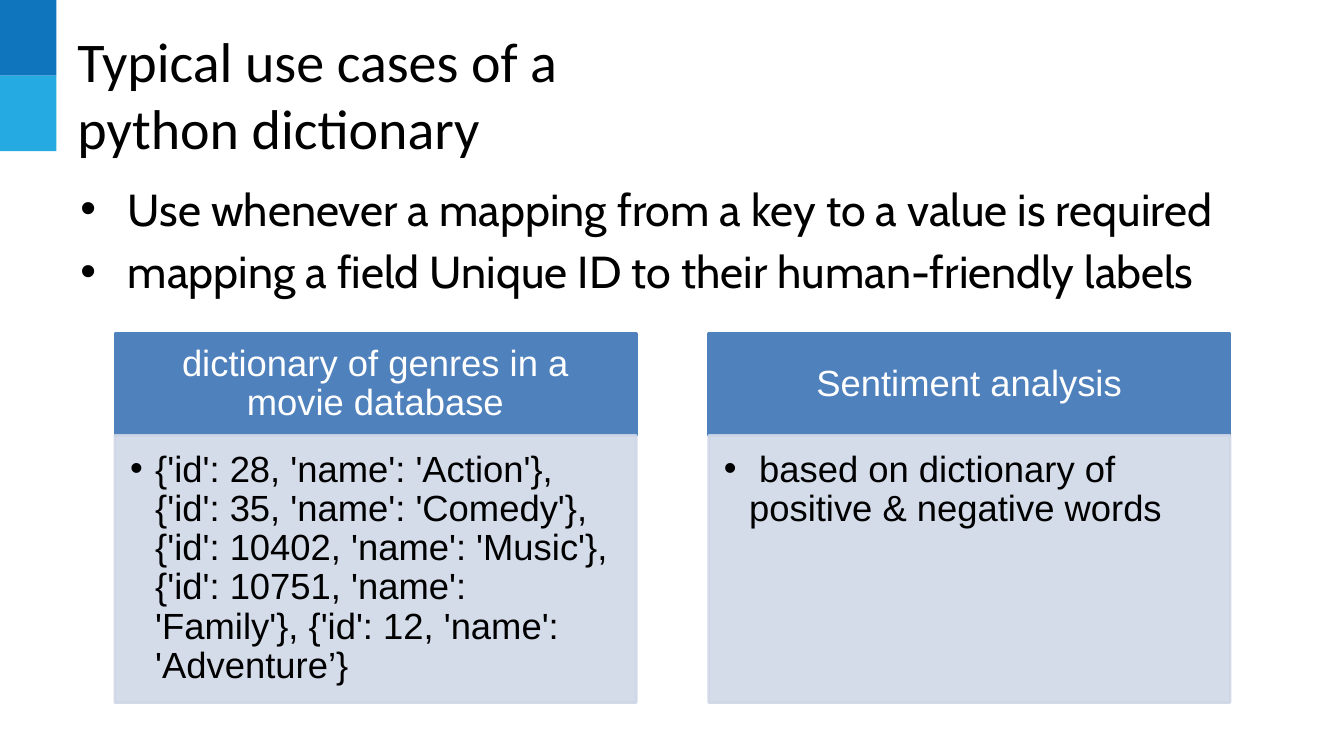
from dataclasses import dataclass

from lxml.etree import SubElement
from pptx import Presentation
from pptx.dml.color import RGBColor
from pptx.enum.shapes import MSO_SHAPE
from pptx.enum.text import MSO_ANCHOR, PP_ALIGN
from pptx.oxml.ns import qn
from pptx.shapes.autoshape import Shape
from pptx.slide import Slide
from pptx.text.text import TextFrame, _Paragraph
from pptx.util import Inches, Pt


@dataclass(frozen=True)
class Theme:
    black: str = "000000"
    white: str = "FFFFFF"
    dark_blue: str = "0F75BD"
    light_blue: str = "25AAE2"
    header: str = "4F81BD"
    panel: str = "CFD7E7"
    panel_opacity: int = 89
    title_font: str = "Calibri"
    body_font: str = "Cabin"
    card_font: str = "Arial"
    title_size: int = 40
    body_size: int = 32
    card_size: int = 26


@dataclass(frozen=True)
class Area:
    left: float
    top: float
    width: float
    height: float

    def lengths(self) -> tuple[int, int, int, int]:
        return (Inches(self.left), Inches(self.top),
                Inches(self.width), Inches(self.height))


@dataclass(frozen=True)
class Card:
    heading: str
    detail: str


THEME = Theme()
TITLE = "Typical use cases of a \vpython dictionary"
POINTS = (
    "Use whenever a mapping from a key to a value is required",
    "mapping a field Unique ID to their human-friendly labels",
)
CARDS = (
    Card("dictionary of genres in a movie database",
         "{'id': 28, 'name': 'Action'}, {'id': 35, 'name': 'Comedy'}, "
         "{'id': 10402, 'name': 'Music'}, {'id': 10751, 'name': 'Family'}, "
         "{'id': 12, 'name': 'Adventure’}"),
    Card("Sentiment analysis",
         " based on dictionary of positive & negative words"),
)
CARD_LEFT, CARD_STEP, CARD_WIDTH = 1.14, 5.89, 5.17
HEADER_TOP, HEADER_HEIGHT, PANEL_HEIGHT = 3.31, 1.01, 2.65


def set_frame(frame: TextFrame, insets: tuple[float, float, float, float],
              anchor: MSO_ANCHOR = MSO_ANCHOR.TOP) -> None:
    frame.word_wrap = True
    frame.vertical_anchor = anchor
    frame.margin_left, frame.margin_top, frame.margin_right, frame.margin_bottom = (
        Inches(inset) for inset in insets)


def add_bullet(para: _Paragraph, margin: float, indent: float) -> None:
    properties = para._p.get_or_add_pPr()
    properties.set("marL", str(Inches(margin)))
    properties.set("indent", str(Inches(indent)))
    color = SubElement(properties, qn("a:buClr"))
    SubElement(color, qn("a:srgbClr"), val=THEME.black)
    SubElement(properties, qn("a:buFont"), typeface="Arial")
    SubElement(properties, qn("a:buChar"), char="•")


def write(para: _Paragraph, text: str, *, font: str, size: int,
          color: str = THEME.black, align: PP_ALIGN = PP_ALIGN.LEFT,
          spacing: float = 1.0, before: float = 0,
          bullet: tuple[float, float] | None = None) -> None:
    if bullet:
        add_bullet(para, *bullet)
    para.text = text
    para.alignment = align
    para.line_spacing = spacing
    para.space_before = Pt(before)
    for span in para.runs:
        span.font.name = font
        span.font.size = Pt(size)
        span.font.color.rgb = RGBColor.from_string(color)


def add_block(page: Slide, area: Area, color: str, *,
              line_width: float = 0, opacity: int = 100) -> Shape:
    block = page.shapes.add_shape(MSO_SHAPE.RECTANGLE, *area.lengths())
    block.shadow.inherit = False
    paints = [block.fill]
    if line_width:
        block.line.width = Pt(line_width)
        paints.append(block.line.fill)
    else:
        block.line.fill.background()
    for paint in paints:
        paint.solid()
        paint.fore_color.rgb = RGBColor.from_string(color)
    if opacity < 100:
        for tint in block._element.spPr.iter(qn("a:srgbClr")):
            SubElement(tint, qn("a:alpha"), val=str(opacity * 1000))
    return block


def add_text_box(page: Slide, area: Area,
                 anchor: MSO_ANCHOR = MSO_ANCHOR.TOP) -> TextFrame:
    frame = page.shapes.add_textbox(*area.lengths()).text_frame
    set_frame(frame, (0.1, 0.05, 0.1, 0.05), anchor)
    return frame


def add_card(page: Slide, card: Card, left: float) -> None:
    # Heading band
    header = add_block(page, Area(left, HEADER_TOP, CARD_WIDTH, HEADER_HEIGHT),
                       THEME.header, line_width=2).text_frame
    set_frame(header, (0.2, 0.12, 0.2, 0.12), MSO_ANCHOR.MIDDLE)
    write(header.paragraphs[0], card.heading, font=THEME.card_font,
          size=THEME.card_size, color=THEME.white, align=PP_ALIGN.CENTER,
          spacing=0.9)
    # Detail panel
    panel_area = Area(left, HEADER_TOP + HEADER_HEIGHT, CARD_WIDTH, PANEL_HEIGHT)
    panel = add_block(page, panel_area, THEME.panel, line_width=2,
                      opacity=THEME.panel_opacity).text_frame
    set_frame(panel, (0.15, 0.15, 0.2, 0.23))
    write(panel.paragraphs[0], card.detail, font=THEME.card_font,
          size=THEME.card_size, spacing=0.9, bullet=(0.25, -0.25))


def main() -> None:
    deck = Presentation()
    deck.slide_width, deck.slide_height = Inches(13.33), Inches(7.5)
    page = deck.slides.add_slide(deck.slide_layouts[6])

    # Corner squares
    for row, color in enumerate((THEME.dark_blue, THEME.light_blue)):
        add_block(page, Area(0, row * 0.75, 0.56, 0.75), color)

    # Title
    title = add_text_box(page, Area(0.67, 0.3, 12, 1.25), MSO_ANCHOR.MIDDLE)
    write(title.paragraphs[0], TITLE, font=THEME.title_font, size=THEME.title_size)

    # Main points
    body = add_text_box(page, Area(0.67, 1.75, 12, 1.4))
    for index, point in enumerate(POINTS):
        para = body.add_paragraph() if index else body.paragraphs[0]
        write(para, point, font=THEME.body_font, size=THEME.body_size,
              before=6.4 if index else 0, bullet=(0.5, -0.47))

    # Use case cards
    for index, card in enumerate(CARDS):
        add_card(page, card, CARD_LEFT + index * CARD_STEP)

    deck.save("out.pptx")


if __name__ == "__main__":
    main()
